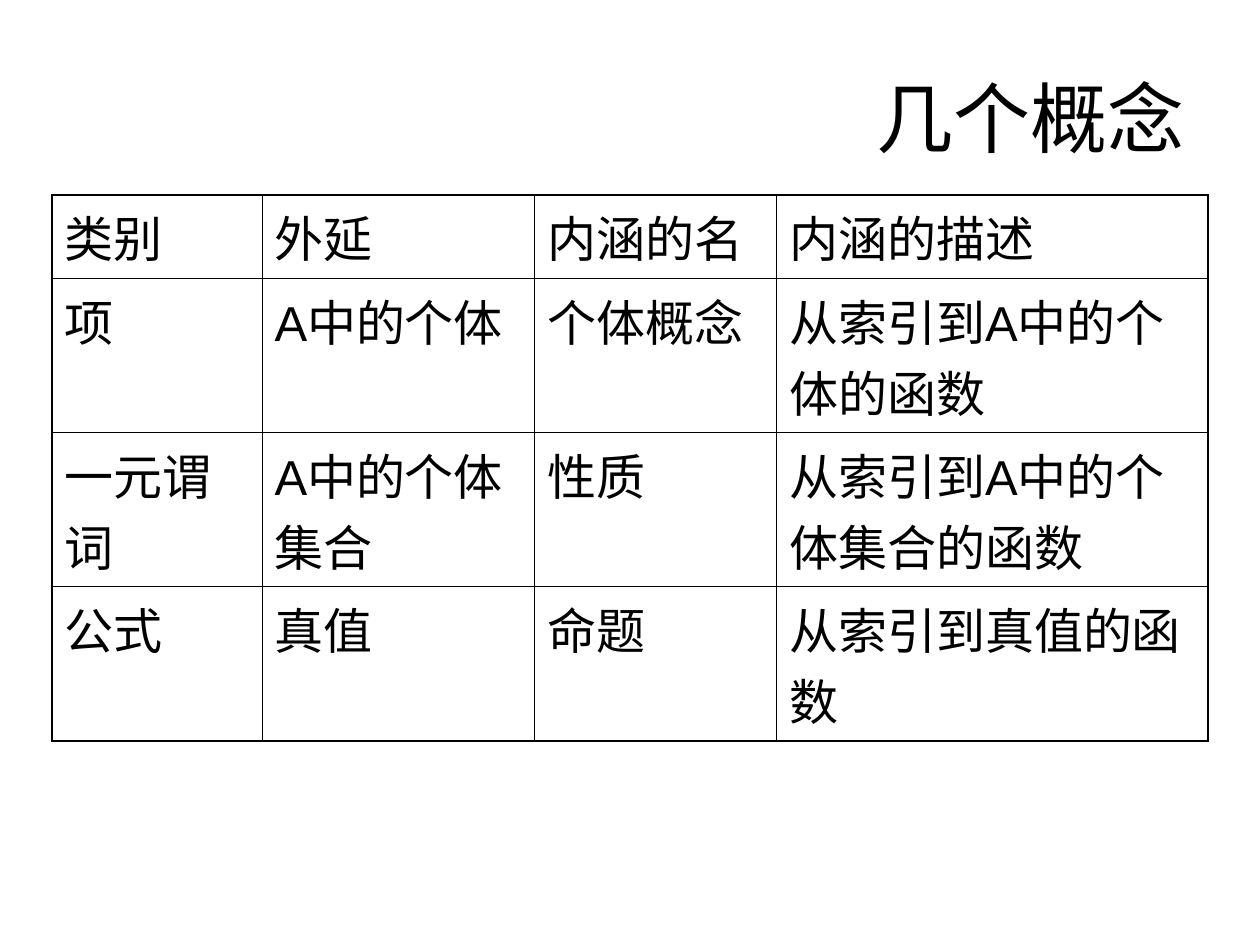
import pptx
import pptx.dml.color
import pptx.enum.text
import pptx.oxml
import pptx.oxml.ns
import pptx.util
from pptx.util import Cm

INK = "000000"
OUTER, INNER = 1.08, 0.45  # border widths in points

COLUMN_WIDTHS = [4.23, 5.5, 4.88, 8.69]
ROW_HEIGHTS = [1.68, 3.11, 3.11, 3.11]
CONCEPTS = [
    ["类别", "外延", "内涵的名", "内涵的描述"],
    ["项", "A中的个体", "个体概念", "从索引到A中的个体的函数"],
    ["一元谓词", "A中的个体集合", "性质", "从索引到A中的个体集合的函数"],
    ["公式", "真值", "命题", "从索引到真值的函数"],
]


def color(value):
    return pptx.dml.color.RGBColor.from_string(value)


def write(frame, text, size):
    frame.word_wrap = True
    paragraph = frame.paragraphs[0]
    paragraph.text = text
    paragraph.font.size = pptx.util.Pt(size)
    paragraph.font.bold = False
    paragraph.font.color.rgb = color(INK)
    # Table cells take the typeface from the run only
    paragraph.runs[0].font.name = "Arial"
    return paragraph


def add_border(cell, side, points):
    cell._tc.get_or_add_tcPr().append(pptx.oxml.parse_xml(
        f'<a:ln{side} {pptx.oxml.ns.nsdecls("a")} w="{round(points * 12700)}">'
        f'<a:solidFill><a:srgbClr val="{INK}"/></a:solidFill></a:ln{side}>'))


def add_title(slide, left, top, width, height):
    title = slide.shapes.add_textbox(Cm(left), Cm(top), Cm(width), Cm(height))
    title.text_frame.vertical_anchor = pptx.enum.text.MSO_ANCHOR.MIDDLE
    heading = write(title.text_frame, "几个概念", 44)
    heading.alignment = pptx.enum.text.PP_ALIGN.RIGHT


def add_concepts(slide, left, top):
    last_row, last_column = len(ROW_HEIGHTS) - 1, len(COLUMN_WIDTHS) - 1
    concepts = slide.shapes.add_table(
        last_row + 1, last_column + 1, Cm(left), Cm(top),
        Cm(sum(COLUMN_WIDTHS)), Cm(sum(ROW_HEIGHTS))).table
    concepts.first_row = concepts.horz_banding = False
    for column, width in zip(concepts.columns, COLUMN_WIDTHS):
        column.width = Cm(width)
    for row, height in zip(concepts.rows, ROW_HEIGHTS):
        row.height = Cm(height)

    # Cells: plain text, heavier border around the outside
    for r, texts in enumerate(CONCEPTS):
        for c, text in enumerate(texts):
            cell = concepts.cell(r, c)
            write(cell.text_frame, text, 28).space_before = pptx.util.Pt(7)
            outside = {"L": c == 0, "R": c == last_column,
                       "T": r == 0, "B": r == last_row}
            for side, is_outer in outside.items():
                add_border(cell, side, OUTER if is_outer else INNER)
            cell.fill.background()


deck = pptx.Presentation()
deck.slide_width, deck.slide_height = Cm(25.4), Cm(19.05)
slide = deck.slides.add_slide(deck.slide_layouts[6])
add_title(slide, 1.27, 0.76, 22.86, 3.18)
add_concepts(slide, 1.05, 3.93)
deck.save("out.pptx")
